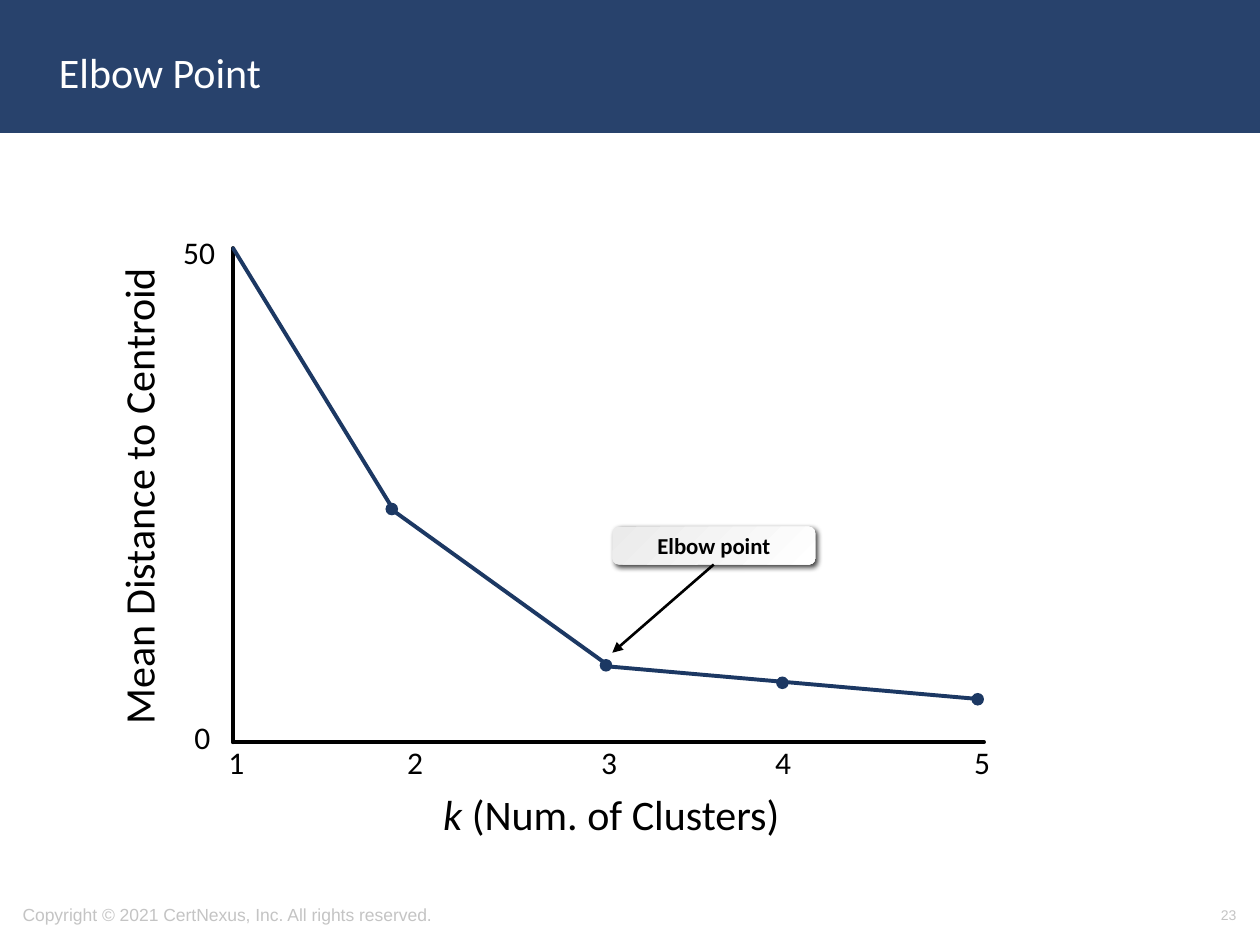
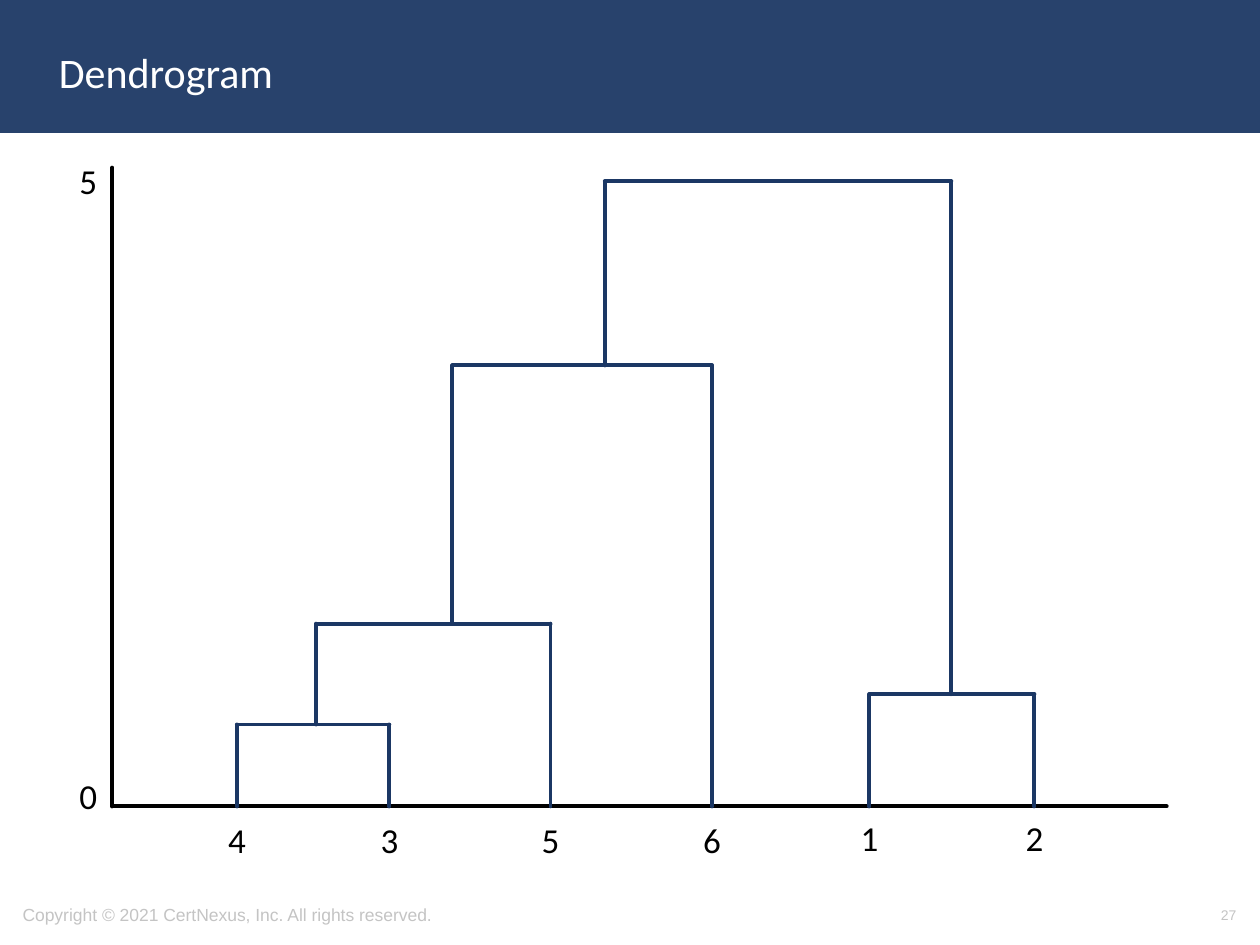
"""Build two clustering slides: an elbow plot and a dendrogram."""
from dataclasses import dataclass
from itertools import pairwise

from lxml import etree
from pptx import Presentation
from pptx import util as u
from pptx.dml.color import RGBColor
from pptx.enum import shapes, text
from pptx.oxml.ns import qn

Pt = u.Pt
LEFT, CENTER, RIGHT = text.PP_ALIGN.LEFT, text.PP_ALIGN.CENTER, text.PP_ALIGN.RIGHT
TOP, MIDDLE = text.MSO_ANCHOR.TOP, text.MSO_ANCHOR.MIDDLE


@dataclass(frozen=True)
class Theme:
    band: str = "28426C"
    white: str = "FFFFFF"
    black: str = "000000"
    muted: str = "C4C4C4"
    curve: str = "1C3863"
    branch: str = "1B3764"
    callout: str = "EBEBEB"
    body_font: str = "Calibri"
    footer_font: str = "Arial"
    title: int = 24
    leaf: int = 20
    tick: int = 18
    note: int = 13
    footer: int = 10
    number: int = 8
    stroke: float = 2.25
    arrow: float = 1.5


T = Theme()


def rgb(value):
    return RGBColor.from_string(value)


def write(sp, runs, size, color=T.black, font=T.body_font, align=LEFT, anchor=TOP):
    tf = sp.text_frame
    for name, value in {"word_wrap": True, "vertical_anchor": anchor}.items():
        setattr(tf, name, value)
    p = tf.paragraphs[0]
    p.alignment = align
    for content, style in runs:
        r = p.add_run()
        r.text = content
        for name, value in {"name": font, "size": Pt(size), **style}.items():
            setattr(r.font, name, value)
        r.font.color.rgb = rgb(color)


def add_text(s, box, content, size, **style):
    sp = s.shapes.add_textbox(*map(Pt, box))
    runs = [(content, {})] if isinstance(content, str) else content
    write(sp, runs, size, **style)
    return sp


def add_label(s, content, center, top, size):
    add_text(s, (center - 20, top, 40, 30), content, size, align=CENTER)


def add_shape(s, kind, box, fill):
    sp = s.shapes.add_shape(kind, *map(Pt, box))
    sp.shadow.inherit = False
    sp.fill.solid()
    sp.fill.fore_color.rgb = rgb(fill)
    sp.line.fill.background()
    return sp


def add_line(s, start, end, color=T.black, width=T.stroke, arrow=False):
    c = s.shapes.add_connector(shapes.MSO_CONNECTOR.STRAIGHT, *map(Pt, (*start, *end)))
    c.line.color.rgb = rgb(color)
    c.line.width = Pt(width)
    props = c.element.spPr
    ln = props.find(qn("a:ln"))
    if arrow:
        etree.SubElement(ln, qn("a:tailEnd"), type="triangle")
    else:
        ln.set("cap", "rnd")
    etree.SubElement(props, qn("a:effectLst"))
    return c


def add_axes(s, left, top, right, bottom):
    add_line(s, (left, top), (left, bottom))
    add_line(s, (left, bottom), (right, bottom))


def add_dot(s, x, y, size=7.2):
    box = (x - size / 2, y - size / 2, size, size)
    add_shape(s, shapes.MSO_SHAPE.OVAL, box, T.curve)


def add_callout(s, box, content):
    sp = add_shape(s, shapes.MSO_SHAPE.ROUNDED_RECTANGLE, box, T.callout)
    sp.fill.gradient()
    sp.fill.gradient_angle = 315
    for stop, color in zip(sp.fill.gradient_stops, (T.callout, T.white)):
        stop.color.rgb = rgb(color)
    effects = sp.element.spPr.find(qn("a:effectLst"))
    shadow = etree.SubElement(effects, qn("a:outerShdw"), blurRad=str(Pt(3)),
                              dist=str(Pt(2)), dir="2700000", algn="tl", rotWithShape="0")
    tint = etree.SubElement(shadow, qn("a:srgbClr"), val=T.black)
    etree.SubElement(tint, qn("a:alpha"), val="75000")
    write(sp, [(content, {"bold": True})], T.note, align=CENTER, anchor=MIDDLE)
    return sp


def add_merge(s, left, right, height):
    corners = [left, (left[0], height), (right[0], height), right]
    for start, end in pairwise(corners):
        add_line(s, start, end, T.branch)


def new_slide(prs, title, number):
    s = prs.slides.add_slide(prs.slide_layouts[6])
    band = add_shape(s, shapes.MSO_SHAPE.RECTANGLE, (0, 0, 720, 75), T.band)
    band.line.color.rgb = rgb(T.band)
    band.line.width = Pt(2)
    footer = {"color": T.muted, "font": T.footer_font, "anchor": MIDDLE}
    add_text(s, (5.8, 508.3, 379.4, 28.8),
             "Copyright © 2021 CertNexus, Inc. All rights reserved.", T.footer, **footer)
    add_text(s, (26.6, 7.9, 620.6, 66.2), title, T.title, color=T.white, anchor=MIDDLE)
    add_text(s, (545.8, 508.3, 167.8, 28.8), number, T.number, align=RIGHT, **footer)
    return s


def elbow_slide(prs):
    s = new_slide(prs, "Elbow Point", "23")
    add_axes(s, 133.2, 141.8, 562.3, 424.1)
    add_label(s, "50", 113.8, 129.6, T.tick)
    add_label(s, "0", 115.6, 406.8, T.tick)
    for k, x in enumerate((135, 237.2, 348.1, 447.5, 561.2), start=1):
        add_label(s, str(k), x, 421.2, T.tick)

    curve = [(133.2, 141.8), (225.4, 292.3), (348.5, 380.9), (560.9, 399.6)]
    for start, end in pairwise(curve):
        add_line(s, start, end, T.curve)
    for center in ((223.9, 290.9), (346.3, 380.2), (447.1, 390.2), (558.7, 399.6)):
        add_dot(s, *center)

    callout = add_callout(s, (349.9, 301, 115.9, 21.6), "Elbow point")
    arrow = add_line(s, (407.9, 322.6), (349.9, 373), width=T.arrow, arrow=True)
    arrow.begin_connect(callout, 2)

    add_text(s, (246.2, 447.1, 212, 36),
             [("k", {"italic": True}), (" (Num. of Clusters)", {})], T.title)
    y_title = add_text(s, (-59.8, 264.2, 277.2, 36), "Mean Distance to Centroid", T.title)
    y_title.rotation = 270


def dendrogram_slide(prs):
    s = new_slide(prs, "Dendrogram", "27")
    base = 460.8
    add_axes(s, 64.1, 95.8, 666.7, base)
    add_label(s, "0", 50.4, 439.2, T.leaf)
    add_label(s, "5", 50.4, 87.8, T.leaf)

    leaves = {"4": 135.4, "3": 222.5, "5": 314.6, "6": 406.8, "1": 496.8, "2": 591.1}
    for name, x in leaves.items():
        add_label(s, name, x, 463 if name in "12" else 464.4, T.leaf)

    foot = {name: (x, base) for name, x in leaves.items()}
    pair_43, trio_435, quad_4356 = (180.7, 414), (258.5, 356.4), (345.6, 208.8)
    pair_12 = (543.6, 396.7)
    add_merge(s, foot["4"], foot["3"], pair_43[1])
    add_merge(s, pair_43, foot["5"], trio_435[1])
    add_merge(s, trio_435, foot["6"], quad_4356[1])
    add_merge(s, foot["1"], foot["2"], pair_12[1])
    add_merge(s, quad_4356, pair_12, 103.7)


def main():
    prs = Presentation()
    prs.slide_width, prs.slide_height = Pt(720), Pt(540)
    elbow_slide(prs)
    dendrogram_slide(prs)
    prs.save("out.pptx")


if __name__ == "__main__":
    main()
